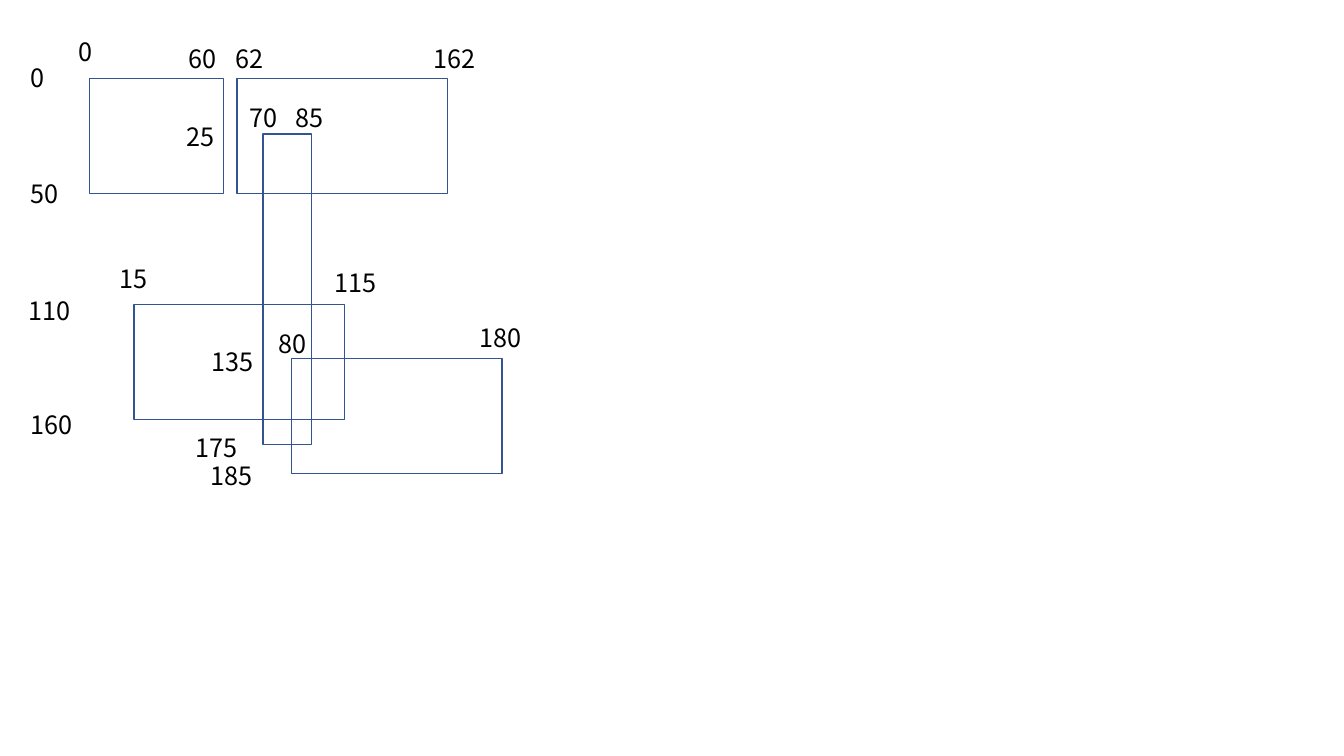
from pptx import Presentation
from pptx.dml.color import RGBColor
from pptx.enum.shapes import MSO_SHAPE
from pptx.enum.text import MSO_AUTO_SIZE
from pptx.util import Cm, Pt

COLORS = {"outline": "325491", "text": "000000"}

WIDE, NARROW, SLIM = 5.31, 3.38, 1.22
LOW, TALL = 2.9, 7.82

# left, top, width, height in cm, from back to front
BLOCKS = [
    (5.97, 1.98, WIDE, LOW),
    (6.63, 3.38, SLIM, TALL),
    (7.34, 9.04, WIDE, LOW),
    (2.26, 1.98, NARROW, LOW),
    (3.38, 7.67, WIDE, LOW),
]

# coordinate, left, top in cm
COORDINATES = [
    ("0", 1.73, 0.79),
    ("0", 0.51, 1.45),
    ("50", 0.51, 4.37),
    ("110", 0.48, 7.32),
    ("25", 4.45, 2.92),
    ("135", 5.08, 8.59),
    ("185", 5.05, 11.48),
    ("160", 0.53, 10.19),
    ("175", 4.67, 10.77),
    ("60", 4.5, 0.97),
    ("162", 10.67, 0.97),
    ("62", 5.69, 0.97),
    ("85", 7.21, 2.46),
    ("115", 8.18, 6.6),
    ("180", 11.84, 8),
    ("70", 6.05, 2.46),
    ("15", 2.77, 6.5),
    ("80", 6.76, 8.15),
]


class Diagram:
    font_name = "Noto Sans CJK JP"
    font_size = Pt(18)
    line_width = Pt(1)
    label_height = 1.02
    label_padding = 0.51
    digit_width = 0.355

    def __init__(self, slide):
        self.slide = slide

    def block(self, left, top, width, height):
        block = self.slide.shapes.add_shape(
            MSO_SHAPE.RECTANGLE, Cm(left), Cm(top), Cm(width), Cm(height))
        block.shadow.inherit = False
        block.fill.background()
        block.line.color.rgb = RGBColor.from_string(COLORS["outline"])
        block.line.width = self.line_width

    def label(self, coordinate, left, top):
        """Add a number in a box just wide enough for its digits."""
        width = self.label_padding + self.digit_width * len(coordinate)
        label = self.slide.shapes.add_textbox(
            Cm(left), Cm(top), Cm(width), Cm(self.label_height))
        frame = label.text_frame
        frame.word_wrap = False
        frame.auto_size = MSO_AUTO_SIZE.SHAPE_TO_FIT_TEXT
        paragraph = frame.paragraphs[0]
        paragraph.text = coordinate
        paragraph.font.name = self.font_name
        paragraph.font.size = self.font_size
        paragraph.font.color.rgb = RGBColor.from_string(COLORS["text"])


def main():
    deck = Presentation()
    deck.slide_width, deck.slide_height = Cm(33.87), Cm(19.05)
    diagram = Diagram(deck.slides.add_slide(deck.slide_layouts[6]))
    for block in BLOCKS:
        diagram.block(*block)
    for coordinate in COORDINATES:
        diagram.label(*coordinate)
    deck.save("out.pptx")


if __name__ == "__main__":
    main()
